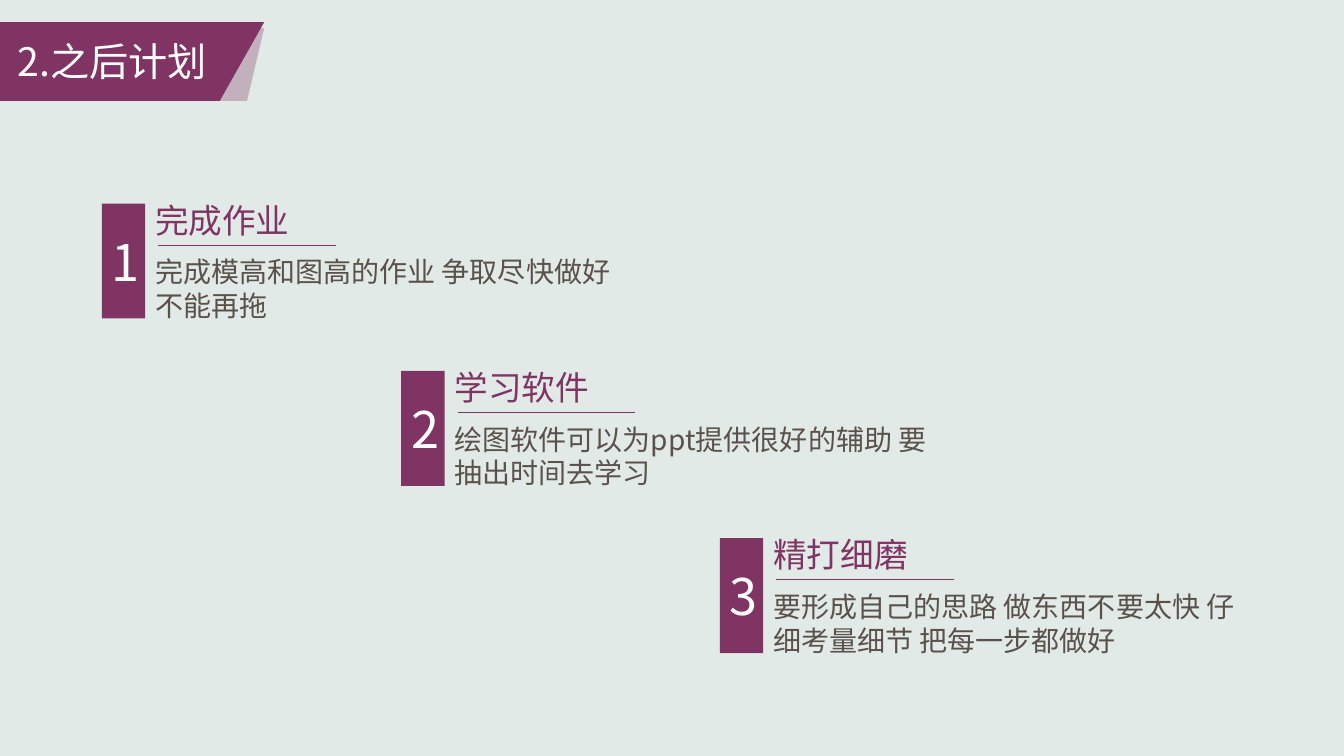
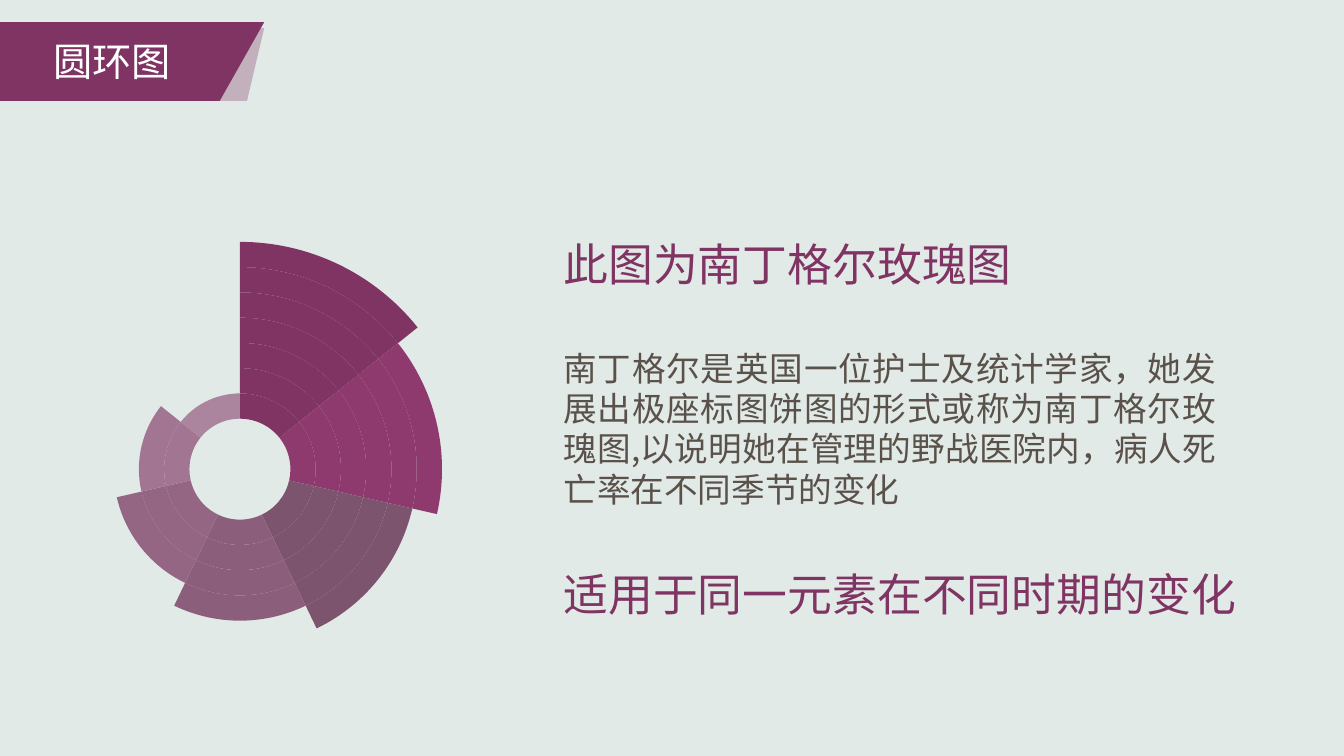
from lxml.etree import SubElement
from pptx import Presentation
from pptx.chart.data import CategoryChartData
from pptx.dml.color import RGBColor
from pptx.enum.chart import XL_CHART_TYPE as ChartType
from pptx.enum.shapes import MSO_CONNECTOR as Connector, MSO_SHAPE as Shape
from pptx.enum.text import MSO_ANCHOR as Anchor, MSO_AUTO_SIZE as AutoSize, PP_ALIGN as Align
from pptx.oxml import parse_xml
from pptx.oxml.ns import nsdecls, qn
from pptx.util import Inches, Pt

COLORS = {
    "background": "E1EAE7",
    "plum": "803463",
    "mauve": "AB849D",
    "body": "5A514A",
    "white": "FFFFFF",
    "black": "000000",
}
PETAL_COLORS = ["803463", "8E3A6E", "7C546E", "8B5F7B", "956584", "A27692", "AB849D"]
RING_COUNT = 12
FONT = "Noto Sans CJK JP"
CHART_FONT = "Calibri"

STEP_LEFTS = [1.01, 3.98, 7.14]
STEP_TOP, STEP_PITCH = 2.02, 1.66
STEP_WIDTH, STEP_HEIGHT = 5.37, 1.14
STEPS = [
    ("完成作业", "完成模高和图高的作业 争取尽快做好 不能再拖"),
    ("学习软件", "绘图软件可以为ppt提供很好的辅助 要抽出时间去学习"),
    ("精打细磨", "要形成自己的思路 做东西不要太快 仔细考量细节 把每一步都做好"),
]


def rgb(name):
    return RGBColor.from_string(COLORS[name])


def inches(*lengths):
    return [Inches(length) for length in lengths]


def write(frame, text, size, color, align=Align.LEFT, anchor=Anchor.TOP):
    """Fill a text frame with one formatted paragraph."""
    frame.word_wrap = True
    frame.vertical_anchor = anchor
    paragraph = frame.paragraphs[0]
    paragraph.alignment = align
    run = paragraph.add_run()
    run.text = text
    run.font.name = FONT
    run.font.size = Pt(size)
    run.font.color.rgb = rgb(color)
    SubElement(run.font._element, qn("a:ea")).set("typeface", FONT)


def add_text(shapes, box, text, **style):
    frame = shapes.add_textbox(*inches(*box)).text_frame
    write(frame, text, **style)
    frame.auto_size = AutoSize.SHAPE_TO_FIT_TEXT


def paint(shape, color, opacity=None):
    """Plain fill without outline or shadow."""
    shape.shadow.inherit = False
    shape.fill.solid()
    shape.fill.fore_color.rgb = rgb(color)
    shape.line.fill.background()
    if opacity is not None:
        fill_color = shape.fill._xPr.find(".//" + qn("a:srgbClr"))
        SubElement(fill_color, qn("a:alpha")).set("val", str(opacity * 1000))


def add_ribbon(shapes, box, bottom_width, color, opacity=None):
    """Band whose right end slants in to bottom_width."""
    left, top, width, height = box
    corners = [(left + width, top), (left + bottom_width, top + height), (left, top + height)]
    outline = shapes.build_freeform(*inches(left, top), scale=1.0)
    outline.add_line_segments([inches(*corner) for corner in corners], close=True)
    paint(outline.convert_to_shape(), color, opacity)


def add_title_band(shapes, box, title):
    left, top, width, height = box
    fold = 0.06
    add_ribbon(shapes, (left, top + fold, width, height - fold), 2.45, "mauve", 56)
    add_ribbon(shapes, box, 2.18, "plum")
    add_text(shapes, (left - 0.02, top + 0.1, 2.27, 0.57), title,
             size=28, color="white", align=Align.CENTER)


def add_step(shapes, box, number, heading, detail):
    left, top, width, height = box
    badge_width = 0.43
    text_left = left + badge_width

    # Number badge
    badge = shapes.add_shape(Shape.RECTANGLE, *inches(left, top, badge_width, height))
    paint(badge, "plum")
    write(badge.text_frame, str(number), size=36, color="white",
          align=Align.CENTER, anchor=Anchor.MIDDLE)

    # Rule under the heading
    rule_left, rule_top = text_left + 0.13, top + 0.41
    rule = shapes.add_connector(
        Connector.STRAIGHT, *inches(rule_left, rule_top, rule_left + 1.76, rule_top))
    rule.line.color.rgb = rgb("plum")
    rule.line.width = Pt(0.5)
    SubElement(rule._element.spPr, qn("a:effectLst"))

    # Heading and detail
    add_text(shapes, (text_left, top - 0.09, 1.62, 0.5), heading, size=24, color="plum")
    add_text(shapes, (text_left, top + 0.46, width - badge_width, 0.77), detail,
             size=20, color="body")


def add_rose_chart(shapes, box):
    """Equal rings; each petal is one ring shorter than the one before."""
    petal_count = len(PETAL_COLORS)
    rings = CategoryChartData()
    rings.categories = [str(n + 1) for n in range(petal_count)]
    for ring in range(RING_COUNT):
        rings.add_series(f"Series {ring + 1}", [14] * petal_count)
    chart = shapes.add_chart(ChartType.DOUGHNUT, *inches(*box), rings).chart
    chart.has_legend = False
    chart.has_title = False
    chart.font.name = CHART_FONT
    chart.font.size = Pt(10)
    chart.font.color.rgb = rgb("black")

    # Transparent chart area and smallest hole
    chart_space = chart._chartSpace
    chart_space.find(qn("c:chart")).addnext(parse_xml(
        f'<c:spPr {nsdecls("c", "a")}><a:noFill/><a:ln><a:noFill/></a:ln></c:spPr>'))
    chart_space.find(".//" + qn("c:holeSize")).set("val", "1")

    # The first ring stays empty as the centre
    for ring, series in enumerate(chart.plots[0].series):
        for petal, color in enumerate(PETAL_COLORS):
            segment = series.points[petal].format
            segment.line.fill.background()
            if 1 <= ring <= petal_count - petal:
                segment.fill.solid()
                segment.fill.fore_color.rgb = RGBColor.from_string(color)
            else:
                segment.fill.background()


def add_explanation(shapes, box):
    left, top, width, _ = box
    add_text(shapes, (left, top, 6.24, 0.64), "此图为南丁格尔玫瑰图", size=32, color="plum")
    add_text(shapes, (left, top + 1.1, 6.67, 1.72),
             "南丁格尔是英国一位护士及统计学家，她发展出极座标图饼图的形式或称为南丁格尔玫瑰图,"
             "以说明她在管理的野战医院内，病人死亡率在不同季节的变化",
             size=24, color="body", align=Align.JUSTIFY)
    add_text(shapes, (left, top + 3.27, width, 0.64), "适用于同一元素在不同时期的变化",
             size=32, color="plum")


def new_slide(prs, title):
    shapes = prs.slides.add_slide(prs.slide_layouts[6]).shapes
    add_title_band(shapes, (0, 0.22, 2.62, 0.78), title)
    return shapes


def build_plan_slide(prs):
    shapes = new_slide(prs, "2.之后计划")
    for index, (left, (heading, detail)) in enumerate(zip(STEP_LEFTS, STEPS)):
        box = (left, STEP_TOP + index * STEP_PITCH, STEP_WIDTH, STEP_HEIGHT)
        add_step(shapes, box, index + 1, heading, detail)


def build_rose_slide(prs):
    shapes = new_slide(prs, "圆环图")
    add_rose_chart(shapes, (-2.6, 1.26, 9.96, 6.79))
    add_explanation(shapes.add_group_shape().shapes, (5.49, 2.3, 7.7, 3.91))


def main():
    prs = Presentation()
    prs.slide_width, prs.slide_height = inches(13.33, 7.5)
    backdrop = prs.slide_master.background.fill
    backdrop.solid()
    backdrop.fore_color.rgb = rgb("background")
    build_plan_slide(prs)
    build_rose_slide(prs)
    prs.save("out.pptx")


if __name__ == "__main__":
    main()
